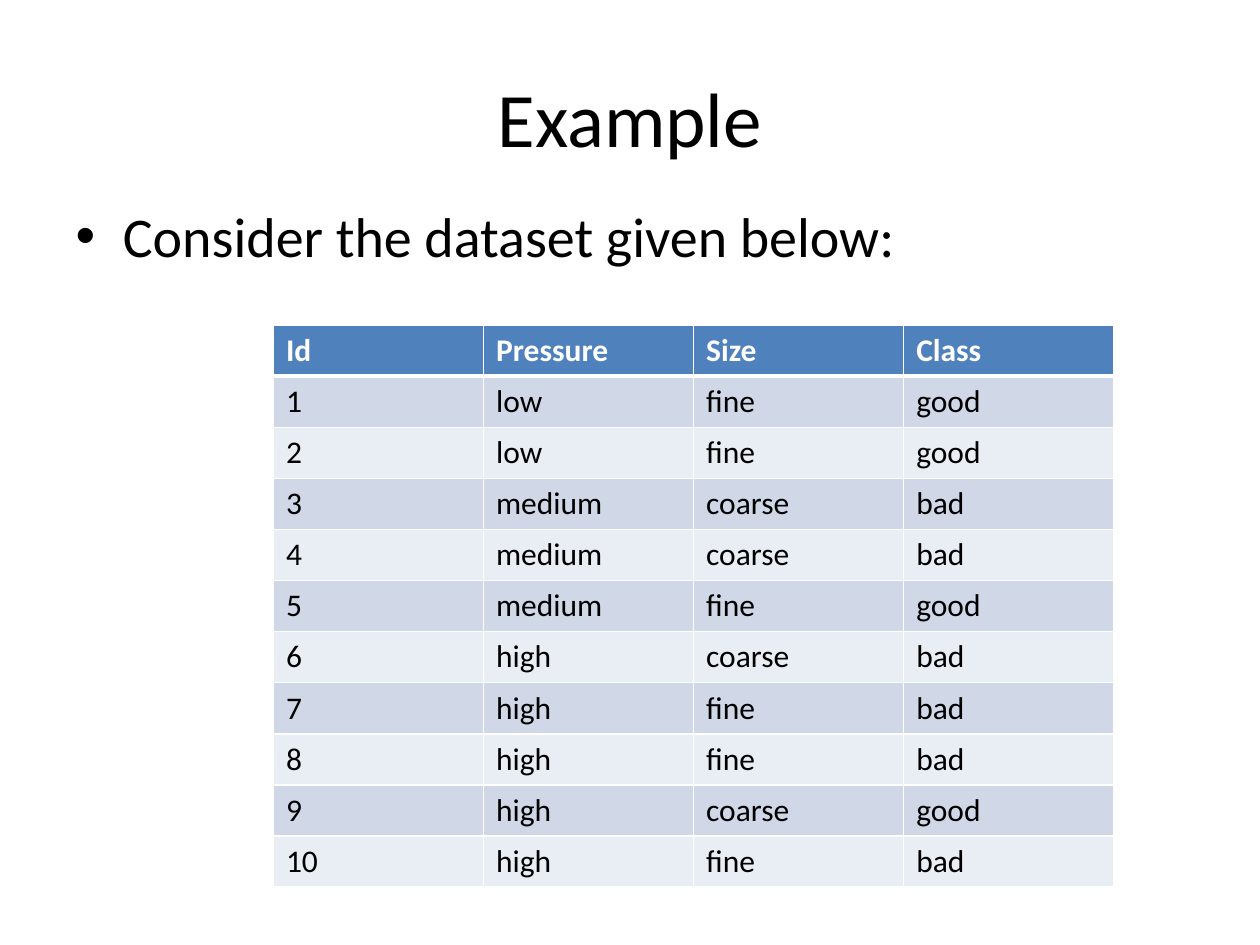
from dataclasses import dataclass
from typing import NamedTuple

from lxml.etree import SubElement
from pptx import Presentation
from pptx.dml.color import RGBColor
from pptx.enum.text import MSO_ANCHOR, PP_ALIGN
from pptx.oxml.ns import qn
from pptx.util import Inches, Pt


@dataclass(frozen=True)
class Theme:
    font: str = "Calibri"
    ink: str = "000000"
    paper: str = "FFFFFF"
    head: str = "4F81BD"
    odd: str = "D0D8E8"
    even: str = "E9EDF4"
    title: int = 44
    body: int = 32
    cell: int = 18
    thin: int = 1
    thick: int = 3


class Box(NamedTuple):
    left: float
    top: float
    width: float
    height: float


class Sample(NamedTuple):
    id: str
    pressure: str
    size: str
    label: str


@dataclass(frozen=True)
class Look:
    fill: str
    ink: str
    bold: bool
    top: int
    base: int


THEME = Theme()
HEAD = Sample("Id", "Pressure", "Size", "Class")
DATA = [
    Sample("1", "low", "fine", "good"),
    Sample("2", "low", "fine", "good"),
    Sample("3", "medium", "coarse", "bad"),
    Sample("4", "medium", "coarse", "bad"),
    Sample("5", "medium", "fine", "good"),
    Sample("6", "high", "coarse", "bad"),
    Sample("7", "high", "fine", "bad"),
    Sample("8", "high", "fine", "bad"),
    Sample("9", "high", "coarse", "good"),
    Sample("10", "high", "fine", "bad"),
]


def style(para, size: int, color: str, bold: bool = False) -> None:
    font = para.font
    font.name = THEME.font
    font.size = Pt(size)
    font.bold = bold
    font.color.rgb = RGBColor.from_string(color)


def place(shape, box: Box) -> None:
    shape.left, shape.top, shape.width, shape.height = map(Inches, box)


def write(shape, box: Box, text: str, size: int):
    place(shape, box)
    shape.text_frame.text = text
    para = shape.text_frame.paragraphs[0]
    style(para, size, THEME.ink)
    return para


def edge(cell, side: str, width: int) -> None:
    props = cell._tc.get_or_add_tcPr()
    line = SubElement(props, qn(f"a:ln{side}"), w=str(Pt(width)))
    fill = SubElement(line, qn("a:solidFill"))
    SubElement(fill, qn("a:srgbClr"), val=THEME.paper)


def look(row: int) -> Look:
    if row == 0:
        return Look(THEME.head, THEME.paper, True, THEME.thin, THEME.thick)
    fill = THEME.odd if row % 2 else THEME.even
    top = THEME.thick if row == 1 else THEME.thin
    return Look(fill, THEME.ink, False, top, THEME.thin)


def paint(cell, text: str, form: Look) -> None:
    cell.text = text
    style(cell.text_frame.paragraphs[0], THEME.cell, form.ink, form.bold)
    widths = {"L": THEME.thin, "R": THEME.thin, "T": form.top, "B": form.base}
    for side, width in widths.items():
        edge(cell, side, width)
    cell.fill.solid()
    cell.fill.fore_color.rgb = RGBColor.from_string(form.fill)


def grid(slide, box: Box, rows: list[Sample]) -> None:
    table = slide.shapes.add_table(len(rows), len(HEAD), *map(Inches, box)).table
    for row, sample in enumerate(rows):
        for col, text in enumerate(sample):
            paint(table.cell(row, col), text, look(row))


def main() -> None:
    deck = Presentation()
    deck.slide_width, deck.slide_height = Inches(10), Inches(7.5)
    slide = deck.slides.add_slide(deck.slide_layouts[1])
    title, body = slide.placeholders
    para = write(title, Box(0.5, 0.3, 9, 1.25), "Example", THEME.title)
    para.alignment = PP_ALIGN.CENTER
    title.text_frame.vertical_anchor = MSO_ANCHOR.MIDDLE
    write(body, Box(0.5, 1.55, 9, 5.15), "Consider the dataset given below:", THEME.body)
    grid(slide, Box(2.17, 2.58, 6.67, 4.46), [HEAD, *DATA])
    deck.save("out.pptx")


if __name__ == "__main__":
    main()
